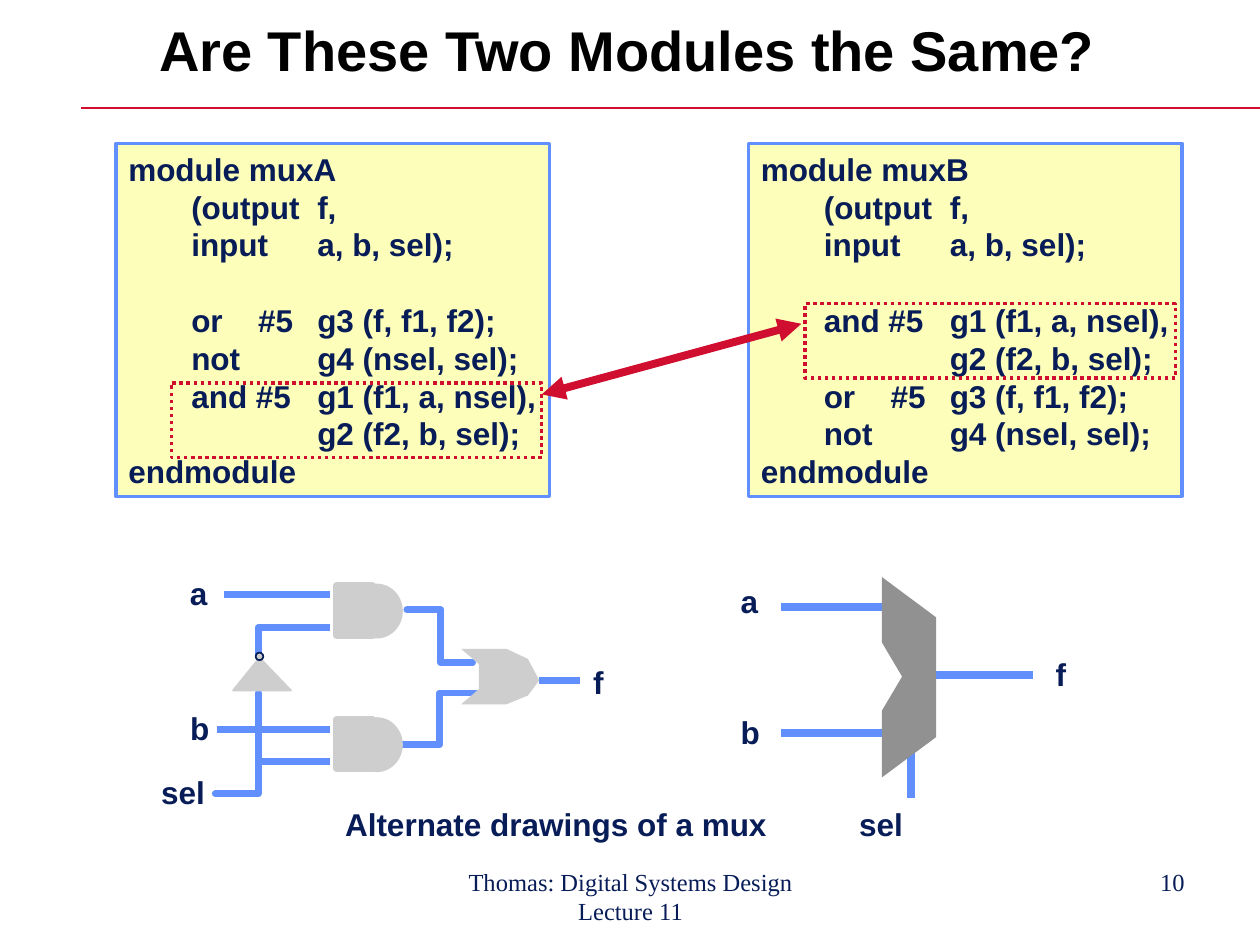
from lxml.etree import SubElement
from pptx import Presentation
from pptx.dml.color import RGBColor
from pptx.enum.dml import MSO_LINE
from pptx.enum.shapes import MSO_CONNECTOR, MSO_SHAPE
from pptx.enum.text import MSO_ANCHOR, PP_ALIGN
from pptx.oxml.ns import qn
from pptx.util import Inches, Pt

BLACK = RGBColor(0x00, 0x00, 0x00)
NAVY = RGBColor(0x08, 0x1D, 0x58)
BLUE = RGBColor(0x61, 0x8F, 0xFD)
RED = RGBColor(0xCF, 0x0E, 0x30)
CREAM = RGBColor(0xFC, 0xFE, 0xB9)
SILVER = RGBColor(0xCE, 0xCE, 0xCE)
GRAY = RGBColor(0x91, 0x91, 0x91)

LEADING = 1.2
TABS = (0.5, 1.03, 1.5, 2, 3)
PORTS = ["\t(output\tf,", "\tinput\ta, b, sel);"]
OR_NOT = ["\tor\t#5\tg3 (f, f1, f2);", "\tnot\t\tg4 (nsel, sel);"]
ANDS = ["\tand #5\tg1 (f1, a, nsel),", "\t\t\tg2 (f2, b, sel);"]


def style_paragraph(p, size, color=NAVY, name="Arial", bold=True):
    """Format every run of a paragraph."""
    for r in p.runs:
        r.font.size = Pt(size)
        r.font.name = name
        r.font.bold = bold
        r.font.color.rgb = color


def set_margins(tf, x=0.1, y=0.05):
    """Set the inner margins of a text frame."""
    tf.margin_left = tf.margin_right = Inches(x)
    tf.margin_top = tf.margin_bottom = Inches(y)


def add_text(s, text, box, size=18, ratio=1.0, color=NAVY, margins=(0.1, 0.05),
             align=PP_ALIGN.LEFT, wrap=False):
    """Add one line of bold text."""
    tf = s.shapes.add_textbox(*map(Inches, box)).text_frame
    tf.word_wrap = wrap
    set_margins(tf, *margins)
    tf.text = text
    p = tf.paragraphs[0]
    p.alignment = align
    p.line_spacing = Pt(round(size * LEADING * ratio, 1))
    style_paragraph(p, size, color)


def add_footer(s, text, left, width, align):
    """Add a wrapped footer text."""
    tf = s.shapes.add_textbox(Inches(left), Inches(6.83), Inches(width), Inches(0.52)).text_frame
    tf.word_wrap = True
    set_margins(tf)
    tf.text = text
    tf.paragraphs[0].alignment = align
    style_paragraph(tf.paragraphs[0], 14, name="Times New Roman", bold=False)


def paint(sp, fill=None, line=None, width=1):
    """Set the fill and the outline of a shape, without a shadow."""
    sp.shadow.inherit = False
    if fill is None:
        sp.fill.background()
    else:
        sp.fill.solid()
        sp.fill.fore_color.rgb = fill
    if line is None:
        sp.line.fill.background()
    else:
        sp.line.color.rgb = line
        sp.line.width = Pt(width)


def add_preset(s, kind, box, fill=None, line=None, width=1):
    """Add a painted preset shape."""
    sp = s.shapes.add_shape(kind, *map(Inches, box))
    paint(sp, fill, line, width)
    return sp


def add_outline(s, points, close=True, **colors):
    """Add a painted freeform through the points."""
    start, *rest = [(Inches(x), Inches(y)) for x, y in points]
    builder = s.shapes.build_freeform(*start)
    builder.add_line_segments(rest, close=close)
    sp = builder.convert_to_shape()
    paint(sp, **colors)
    return sp


def add_bent_wire(s, *points):
    """Add a wire with corners and round ends."""
    sp = add_outline(s, points, close=False, line=BLUE, width=4)
    sp.line._get_or_add_ln().set("cap", "rnd")


def add_line(s, start, end, color=BLUE, width=4, arrows=False):
    """Add a straight line, with arrowheads at both ends if wanted."""
    c = s.shapes.add_connector(MSO_CONNECTOR.STRAIGHT, *map(Inches, (*start, *end)))
    c.line.color.rgb = color
    c.line.width = Pt(width)
    if arrows:
        for tag in ("a:headEnd", "a:tailEnd"):
            SubElement(c.line._get_or_add_ln(), qn(tag), type="triangle")
    SubElement(c._element.spPr, qn("a:effectLst"))


def add_module(s, left, name, body):
    """Add a code box whose body stands one line below the ports."""
    sp = add_preset(s, MSO_SHAPE.RECTANGLE, (left, 1.14, 3.44, 2.8), CREAM, BLUE, 2)
    tf = sp.text_frame
    tf.word_wrap = False
    tf.vertical_anchor = MSO_ANCHOR.TOP
    set_margins(tf)
    head = [f"module {name}", *PORTS]
    tf.text = "\n".join([*head, *body, "endmodule"])
    for i, p in enumerate(tf.paragraphs):
        p.alignment = PP_ALIGN.LEFT
        p.line_spacing = Pt(18 * LEADING)
        if i == len(head):
            p.space_before = Pt(18 * LEADING)
        style_paragraph(p, 18)
        tabs = SubElement(p._p.get_or_add_pPr(), qn("a:tabLst"))
        for stop in TABS:
            SubElement(tabs, qn("a:tab"), pos=str(Inches(stop)), algn="l")


def add_highlight(s, left, top):
    """Add a dotted frame around two code lines."""
    sp = add_preset(s, MSO_SHAPE.RECTANGLE, (left, top, 2.94, 0.59), line=RED, width=2)
    sp.line.dash_style = MSO_LINE.ROUND_DOT


def add_and_gate(s, top):
    """Add an AND gate."""
    add_preset(s, MSO_SHAPE.RECTANGLE, (2.67, top, 0.29, 0.39), SILVER, SILVER, 4)
    add_preset(s, MSO_SHAPE.OVAL, (2.81, top + 0.01, 0.36, 0.38), SILVER, SILVER, 4)


def add_gate_drawing(s):
    """Draw the mux with gates."""
    add_bent_wire(s, (3.23, 4.84), (3.5, 4.84), (3.5, 5.26), (3.75, 5.26))
    add_bent_wire(s, (3.18, 5.91), (3.49, 5.91), (3.49, 5.5), (3.78, 5.5))
    for x1, x2, y in ((1.78, 2.62, 4.72), (2.3, 2.62, 4.98), (2.04, 2.62, 6.04),
                      (1.72, 2.62, 5.79), (4.28, 4.6, 5.4)):
        add_line(s, (x1, y), (x2, y))
    add_bent_wire(s, (2.05, 5.2), (2.05, 4.98), (2.32, 4.98))
    add_bent_wire(s, (2.05, 5.5), (2.05, 6.3), (1.71, 6.3))
    add_text(s, "a", (1.41, 4.51, 0.34, 0.4))
    add_text(s, "b", (1.41, 5.58, 0.35, 0.4))
    add_text(s, "f", (4.61, 5.21, 0.28, 0.4))
    add_text(s, "sel", (1.18, 6.12, 0.55, 0.37), ratio=0.9)
    add_outline(s, [(4.02, 5.15), (4.19, 5.23), (4.28, 5.4), (4.19, 5.52), (4.02, 5.59),
                    (3.66, 5.59), (3.8, 5.47), (3.8, 5.27), (3.66, 5.15)], fill=SILVER)
    add_outline(s, [(1.85, 5.48), (2.31, 5.48), (2.06, 5.22)], fill=SILVER, line=SILVER)
    add_preset(s, MSO_SHAPE.OVAL, (2.03, 5.18, 0.06, 0.06), SILVER, NAVY)
    for top in (4.65, 5.71):
        add_and_gate(s, top)


def add_mux_drawing(s):
    """Draw the mux as one block."""
    for start, end in (((6.2, 4.82), (7, 4.82)), ((6.2, 5.82), (7, 5.82)),
                       ((7.4, 5.36), (8.2, 5.36)), ((7.23, 5.87), (7.23, 6.33))):
        add_line(s, start, end, width=4.5)
    for text, left, top, width in (("a", 5.78, 4.6, 0.34), ("b", 5.78, 5.64, 0.35),
                                   ("sel", 6.72, 6.37, 0.55), ("f", 8.28, 5.18, 0.28)):
        add_text(s, text, (left, top, width, 0.37), ratio=0.9)
    add_outline(s, [(7, 4.58), (7.43, 4.9), (7.43, 5.85), (7, 6.17),
                    (7, 5.64), (7.16, 5.37), (7, 5.1)], fill=GRAY)


def main():
    """Build the slide and save it."""
    prs = Presentation()
    prs.slide_width, prs.slide_height = Inches(10), Inches(7.5)
    s = prs.slides.add_slide(prs.slide_layouts[6])
    add_line(s, (0.64, 0.86), (10, 0.86), RED, 1)
    add_text(s, "Are These Two Modules the Same?", (0.68, 0.17, 8.6, 0.51), 32, 0.85,
             BLACK, (0.07, 0.03), PP_ALIGN.CENTER, True)
    add_gate_drawing(s)
    add_mux_drawing(s)
    add_text(s, "Alternate drawings of a mux", (2.64, 6.37, 3.55, 0.37), ratio=0.9)
    add_module(s, 5.94, "muxB", ANDS + OR_NOT)
    add_module(s, 0.92, "muxA", OR_NOT + ANDS)
    add_line(s, (4.3, 3.13), (6.36, 2.57), RED, 4.5, arrows=True)
    add_highlight(s, 1.36, 3.04)
    add_highlight(s, 6.39, 2.41)
    add_footer(s, "Thomas: Digital Systems Design Lecture 11", 3.42, 3.17, PP_ALIGN.CENTER)
    add_footer(s, "10", 7.17, 2.33, PP_ALIGN.RIGHT)
    prs.save("out.pptx")


if __name__ == "__main__":
    main()
